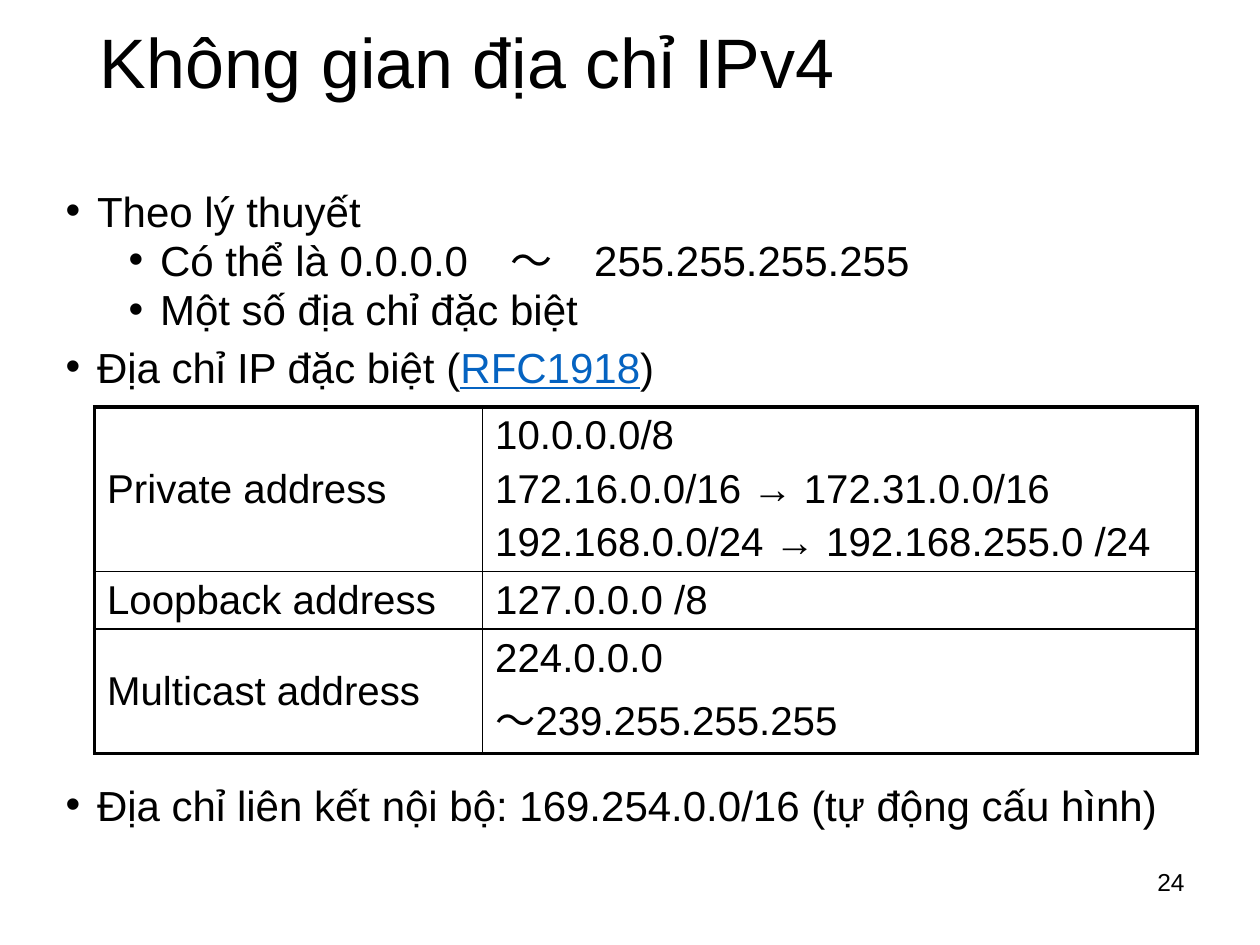
from lxml import etree
from pptx import Presentation
from pptx import util as u
from pptx.dml.color import RGBColor
from pptx.enum import text
from pptx.oxml import ns

BULLETS = [
    # level, space before in points, runs as (text, is_reference)
    (0, 0, [("Theo lý thuyết", False)]),
    (1, 5, [("Có thể là 0.0.0.0　～　255.255.255.255", False)]),
    (1, 5, [("Một số địa chỉ đặc biệt", False)]),
    (0, 10, [("Địa chỉ IP đặc biệt (", False), ("RFC1918", True), (")", False)]),
    # the table stands in the space above this line
    (0, 227, [("Địa chỉ liên kết nội bộ: 169.254.0.0/16 (tự động cấu hình)", False)]),
]
ADDRESS_ROWS = [
    ("Private address", ["10.0.0.0/8", "172.16.0.0/16 → 172.31.0.0/16",
                         "192.168.0.0/24 → 192.168.255.0 /24"]),
    ("Loopback address", ["127.0.0.0 /8"]),
    ("Multicast address", ["224.0.0.0", "～239.255.255.255"]),
]


def color(hex_value):
    return RGBColor.from_string(hex_value)


class SlideBuilder:
    font = "Arial"
    ink = "000000"
    reference = "0563C1"
    outer_width, inner_width = 2.25, 1

    def __init__(self, slide):
        self.slide = slide

    def place(self, shape, left, top, width, height):
        shape.left, shape.top = u.Inches(left), u.Inches(top)
        shape.width, shape.height = u.Inches(width), u.Inches(height)

    def add_run(self, paragraph, content, size, hex_value=None):
        run = paragraph.add_run()
        run.text = content
        run.font.name = self.font
        run.font.size = u.Pt(size)
        run.font.color.rgb = color(hex_value or self.ink)
        return run

    def paragraphs(self, frame, items):
        """Yield a paragraph with each item, starting with the frame's first one."""
        for index, item in enumerate(items):
            yield frame.add_paragraph() if index else frame.paragraphs[0], item

    def title(self, content, box):
        shape = self.slide.shapes.title
        self.place(shape, *box)
        shape.text_frame.vertical_anchor = text.MSO_ANCHOR.MIDDLE
        paragraph = shape.text_frame.paragraphs[0]
        paragraph.alignment = text.PP_ALIGN.LEFT
        paragraph.line_spacing = 0.9
        self.add_run(paragraph, content, 40)

    def bullets(self, items, box):
        shape = self.slide.placeholders[1]
        self.place(shape, *box)
        shape.text_frame.auto_size = text.MSO_AUTO_SIZE.NONE
        for paragraph, (level, space, runs) in self.paragraphs(shape.text_frame, items):
            properties = paragraph._p.get_or_add_pPr()
            properties.set("marL", str(u.Inches(0.25 + 0.5 * level)))
            properties.set("indent", str(u.Inches(-0.25)))
            etree.SubElement(properties, ns.qn("a:buFont"), typeface=self.font)
            etree.SubElement(properties, ns.qn("a:buChar"), char="•")
            paragraph.level = level
            paragraph.line_spacing = 0.8
            paragraph.space_before = u.Pt(space)
            for content, is_reference in runs:
                run = self.add_run(paragraph, content, 24,
                                   self.reference if is_reference else None)
                if is_reference:
                    run.font.underline = True

    def cell_borders(self, cell, outer_sides):
        properties = cell._tc.get_or_add_tcPr()
        for index, side in enumerate("LRTB"):
            width = self.outer_width if side in outer_sides else self.inner_width
            line = etree.Element(ns.qn(f"a:ln{side}"), w=str(u.Pt(width)))
            fill = etree.SubElement(line, ns.qn("a:solidFill"))
            etree.SubElement(fill, ns.qn("a:srgbClr"), val=self.ink)
            properties.insert(index, line)

    def table(self, rows, left, top, column_widths, row_heights):
        table = self.slide.shapes.add_table(
            len(rows), len(column_widths), u.Inches(left), u.Inches(top),
            u.Inches(sum(column_widths)), u.Inches(sum(row_heights))).table
        table.first_row = table.horz_banding = False
        for column, width in zip(table.columns, column_widths):
            column.width = u.Inches(width)
        for index, (label, addresses) in enumerate(rows):
            table.rows[index].height = u.Inches(row_heights[index])
            vertical_sides = ("T" if index == 0 else "") + ("B" if index == len(rows) - 1 else "")
            for cell, lines, side in zip(table.rows[index].cells, ([label], addresses), "LR"):
                cell.fill.background()
                cell.vertical_anchor = text.MSO_ANCHOR.MIDDLE
                self.cell_borders(cell, side + vertical_sides)
                for number, (paragraph, line) in enumerate(self.paragraphs(cell.text_frame, lines)):
                    paragraph.space_before = u.Pt(4.6 if number else 0)
                    self.add_run(paragraph, line, 23)

    def page_number(self, content, box):
        shape = self.slide.shapes.add_textbox(*(u.Inches(length) for length in box))
        shape.text_frame.word_wrap = True
        paragraph = shape.text_frame.paragraphs[0]
        paragraph.alignment = text.PP_ALIGN.RIGHT
        self.add_run(paragraph, content, 14)


def main():
    presentation = Presentation()
    presentation.slide_width, presentation.slide_height = u.Inches(10), u.Inches(7.5)
    builder = SlideBuilder(presentation.slides.add_slide(presentation.slide_layouts[1]))
    builder.title("Không gian địa chỉ IPv4", (0.69, 0.16, 8.62, 0.73))
    builder.bullets(BULLETS, (0.42, 1.5, 9, 5.17))
    builder.table(ADDRESS_ROWS, 0.75, 3.23, (3.08, 5.67), (1.3, 0.46, 0.98))
    builder.page_number("24", (7.17, 6.83, 2.33, 0.5))
    presentation.save("out.pptx")


if __name__ == "__main__":
    main()
